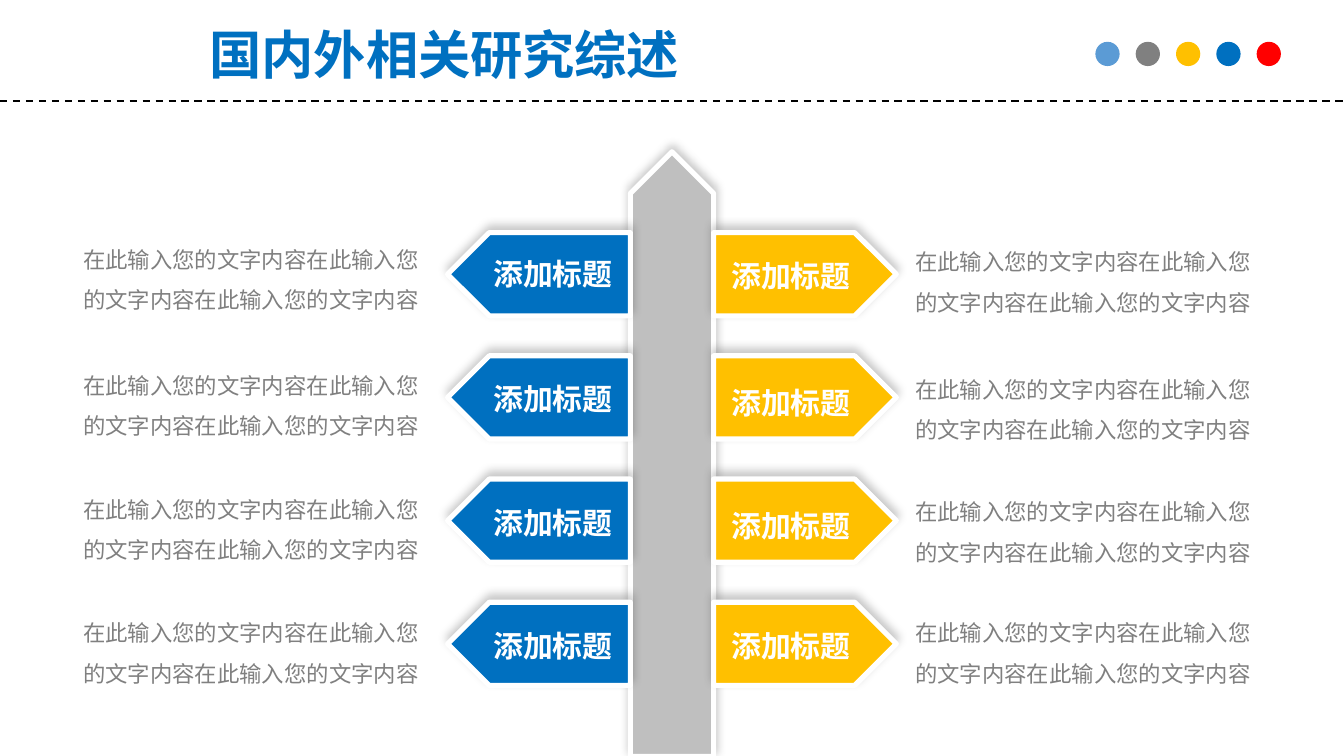
from dataclasses import dataclass

from lxml import etree
from pptx import Presentation
from pptx.dml.color import RGBColor
from pptx.enum.dml import MSO_LINE
from pptx.enum.shapes import MSO_CONNECTOR, MSO_SHAPE
from pptx.enum.text import MSO_AUTO_SIZE, PP_ALIGN
from pptx.oxml.ns import qn
from pptx.shapes.autoshape import Shape
from pptx.shapes.shapetree import SlideShapes
from pptx.util import Pt

PENTAGON = MSO_SHAPE.PENTAGON
OVAL = MSO_SHAPE.OVAL
STRAIGHT = MSO_CONNECTOR.STRAIGHT
DASH = MSO_LINE.DASH
FIT_TEXT = MSO_AUTO_SIZE.SHAPE_TO_FIT_TEXT
LEFT = PP_ALIGN.LEFT
CENTER = PP_ALIGN.CENTER


@dataclass(frozen=True)
class Theme:
    font: str = "Noto Sans CJK SC"
    blue: str = "0070C0"
    sky: str = "5B9BD5"
    amber: str = "FFC000"
    red: str = "FF0000"
    grey: str = "808080"
    silver: str = "BFBFBF"
    white: str = "FFFFFF"
    black: str = "000000"
    title_size: float = 28
    label_size: float = 16
    body_size: float = 12


@dataclass(frozen=True)
class Box:
    left: float
    top: float
    width: float
    height: float

    def emu(self) -> tuple[Pt, Pt, Pt, Pt]:
        return Pt(self.left), Pt(self.top), Pt(self.width), Pt(self.height)


@dataclass(frozen=True)
class TextStyle:
    size: float
    color: str
    bold: bool = False
    align: PP_ALIGN = LEFT
    spacing: float = 1.0


@dataclass(frozen=True)
class Side:
    color: str
    rotation: float
    sign_left: float
    label_left: float
    body_left: float
    label_tops: tuple[float, ...]
    body_tops: tuple[float, ...]


THEME = Theme()
TITLE = TextStyle(THEME.title_size, THEME.blue, True, CENTER)
LABEL = TextStyle(THEME.label_size, THEME.white, True, CENTER)
BODY = TextStyle(THEME.body_size, THEME.grey, spacing=1.5)

PAGE_WIDTH, PAGE_HEIGHT = 720, 405
RULE_TOP = 54
DOT_LEFT, DOT_TOP, DOT_SIZE, DOT_PITCH = 586.8, 22.4, 13, 21.6
DOT_COLORS = (THEME.sky, THEME.grey, THEME.amber, THEME.blue, THEME.red)
POST = Box(198, 221, 324, 44.6)
SIGN_TOP, SIGN_PITCH, SIGN_WIDTH, SIGN_HEIGHT = 124.6, 66, 97.9, 44.6
SIGN_COUNT = 4
LABEL_TEXT = "添加标题"
BODY_TEXT = "在此输入您的文字内容" * 3

SIDES = (
    Side(THEME.amber, 0, 382.3, 374.4, 483.1,
         (134.6, 202.3, 268.6, 332.6), (122.4, 190.8, 256.3, 321.1)),
    Side(THEME.blue, 180, 239.8, 247, 37.4,
         (133.2, 200.2, 267.1, 332.6), (121, 188.6, 254.9, 321.1)),
)


def rgb(color: str) -> RGBColor:
    return RGBColor.from_string(color)


def add_text(shapes: SlideShapes, box: Box, text: str, style: TextStyle) -> None:
    frame = shapes.add_textbox(*box.emu()).text_frame
    frame.word_wrap = True
    frame.auto_size = FIT_TEXT
    paragraph = frame.paragraphs[0]
    paragraph.text = text
    paragraph.alignment = style.align
    paragraph.line_spacing = style.spacing
    font = paragraph.font
    font.size = Pt(style.size)
    font.bold = style.bold
    font.color.rgb = rgb(style.color)
    font.name = THEME.font
    defaults = paragraph._p.pPr.find(qn("a:defRPr"))
    etree.SubElement(defaults, qn("a:ea"), typeface=THEME.font)


def add_shadow(shape: Shape) -> None:
    effects = shape._element.spPr.find(qn("a:effectLst"))
    shadow = etree.SubElement(
        effects, qn("a:outerShdw"), blurRad=str(Pt(5)), dist=str(Pt(3)),
        dir=str(275 * 60000), algn="ctr", rotWithShape="0")
    color = etree.SubElement(shadow, qn("a:srgbClr"), val=THEME.black)
    etree.SubElement(color, qn("a:alpha"), val="22000")


def add_arrow(shapes: SlideShapes, box: Box, color: str, rotation: float) -> None:
    arrow = shapes.add_shape(PENTAGON, *box.emu())
    arrow.rotation = rotation
    arrow.fill.solid()
    arrow.fill.fore_color.rgb = rgb(color)
    arrow.line.color.rgb = rgb(THEME.white)
    arrow.line.width = Pt(2.75)
    arrow.shadow.inherit = False
    add_shadow(arrow)


def add_header(shapes: SlideShapes) -> None:
    add_text(shapes, Box(95.8, 8.6, 284.4, 41), "国内外相关研究综述", TITLE)
    rule = shapes.add_connector(
        STRAIGHT, Pt(0), Pt(RULE_TOP), Pt(PAGE_WIDTH), Pt(RULE_TOP))
    rule.line.color.rgb = rgb(THEME.black)
    rule.line.width = Pt(1)
    rule.line.dash_style = DASH
    etree.SubElement(rule._element.spPr, qn("a:effectLst"))
    for index, color in enumerate(DOT_COLORS):
        place = Box(DOT_LEFT + index * DOT_PITCH, DOT_TOP, DOT_SIZE, DOT_SIZE)
        dot = shapes.add_shape(OVAL, *place.emu())
        dot.fill.solid()
        dot.fill.fore_color.rgb = rgb(color)
        dot.line.fill.background()
        dot.shadow.inherit = False


def add_side(shapes: SlideShapes, side: Side) -> None:
    for index in range(SIGN_COUNT):
        add_text(shapes, Box(side.body_left, side.body_tops[index], 195.8, 51.1),
                 BODY_TEXT, BODY)
        sign = shapes.add_group_shape().shapes
        sign_top = SIGN_TOP + index * SIGN_PITCH
        add_arrow(sign, Box(side.sign_left, sign_top, SIGN_WIDTH, SIGN_HEIGHT),
                  side.color, side.rotation)
        add_text(sign, Box(side.label_left, side.label_tops[index], 98.6, 26.6),
                 LABEL_TEXT, LABEL)


def main() -> None:
    deck = Presentation()
    deck.slide_width, deck.slide_height = Pt(PAGE_WIDTH), Pt(PAGE_HEIGHT)
    shapes = deck.slides.add_slide(deck.slide_layouts[6]).shapes
    add_header(shapes)
    add_arrow(shapes, POST, THEME.silver, 270)
    for side in SIDES:
        add_side(shapes, side)
    deck.save("out.pptx")


if __name__ == "__main__":
    main()
